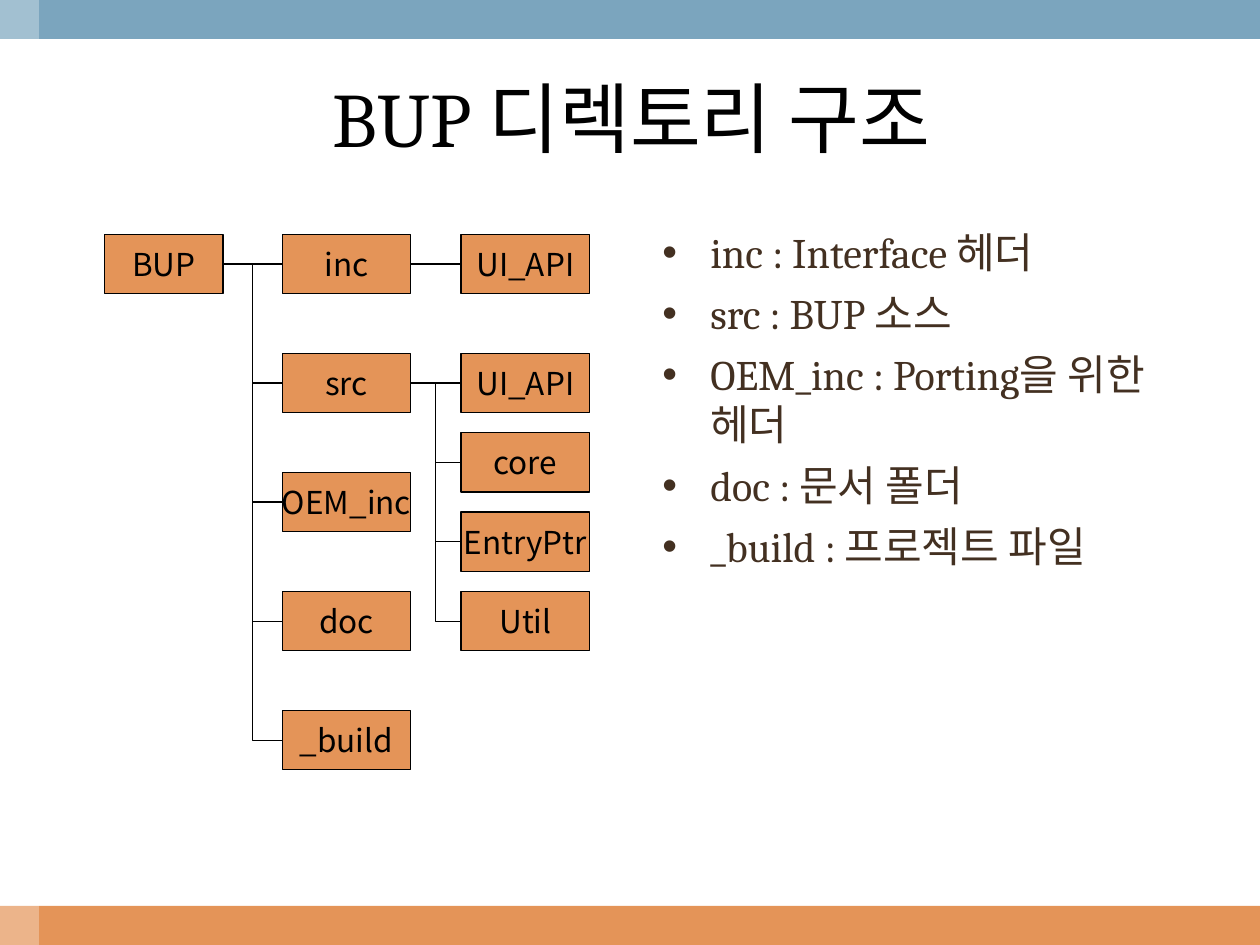
from lxml import etree
from pptx import Presentation
from pptx.dml.color import RGBColor
from pptx.enum.shapes import MSO_CONNECTOR, MSO_SHAPE
from pptx.enum.text import MSO_ANCHOR, PP_ALIGN
from pptx.oxml.ns import qn
from pptx.util import Inches, Pt

RECTANGLE = MSO_SHAPE.RECTANGLE
ELBOW = MSO_CONNECTOR.ELBOW
MIDDLE = MSO_ANCHOR.MIDDLE
CENTER = PP_ALIGN.CENTER
LEFT_SIDE, RIGHT_SIDE = 1, 3

COLORS = {"orange": "E49458", "blue": "7BA5BE", "white": "FFFFFF",
          "black": "000000", "brown": "433021"}
SERIF, SANS = "Cambria", "Noto Sans CJK KR"

PAGE_WIDTH, PAGE_HEIGHT, BAND = 10, 7.5, 0.31
NODE_HEIGHT, ROW_STEP, FILE_STEP = 0.47, 0.945, 0.63
ROOT_WIDTH, NODE_WIDTH = 0.94, 1.02
FOLDER_LEFT, FILE_LEFT = 1.41, 2.83

TREE = [("inc", ["UI_API"]),
        ("src", ["UI_API", "core", "EntryPtr", "Util"]),
        ("OEM_inc", []), ("doc", []), ("_build", [])]
NOTES = ["inc : Interface 헤더", "src : BUP 소스", "OEM_inc : Porting을 위한 헤더",
         "doc : 문서 폴더", "_build : 프로젝트 파일"]


def color(name):
    """Return the named colour."""
    return RGBColor.from_string(COLORS[name])


def add_span(para, text, size, font, ink):
    """Add one formatted run to a paragraph."""
    span = para.add_run()
    span.text = text
    span.font.size = Pt(size)
    span.font.name = font
    span.font.color.rgb = color(ink)


def add_rectangle(page, box, fill):
    """Add a flat rectangle without an outline."""
    shape = page.shapes.add_shape(RECTANGLE, *map(Inches, box))
    shape.shadow.inherit = False
    shape.fill.solid()
    shape.fill.fore_color.rgb = color(fill)
    shape.line.fill.background()
    return shape


def add_bands(page, width, height):
    """Add the coloured edge bands and the translucent left strip."""
    add_rectangle(page, (0, height - BAND, width, BAND), "orange")
    add_rectangle(page, (0, 0, width, BAND), "blue")
    strip = add_rectangle(page, (0, 0, BAND, height), "white")
    tint = strip.fill._xPr.find(qn("a:solidFill"))[0]
    etree.SubElement(tint, qn("a:alpha"), val="30000")


def add_title(page, box, text):
    """Add the centred slide title."""
    frame = page.shapes.add_textbox(*map(Inches, box)).text_frame
    frame.word_wrap = True
    frame.vertical_anchor = MIDDLE
    para = frame.paragraphs[0]
    para.alignment = CENTER
    add_span(para, text, 44, SERIF, "black")


def add_notes(page, box, lines):
    """Add the bulleted folder descriptions."""
    frame = page.shapes.add_textbox(*map(Inches, box)).text_frame
    frame.word_wrap = True
    for index, line in enumerate(lines):
        para = frame.add_paragraph() if index else frame.paragraphs[0]
        para.space_before = Pt(6)
        properties = para._p.get_or_add_pPr()
        properties.set("marL", str(Inches(0.38)))
        properties.set("indent", str(-Inches(0.38)))
        bullet_color = etree.SubElement(properties, qn("a:buClr"))
        etree.SubElement(bullet_color, qn("a:srgbClr"), val=COLORS["brown"])
        etree.SubElement(properties, qn("a:buFont"), typeface="Arial")
        etree.SubElement(properties, qn("a:buChar"), char="•")
        add_span(para, line, 24, SERIF, "brown")


def add_node(page, left, top, width, text):
    """Add one labelled box of the directory tree."""
    node = add_rectangle(page, (left, top, width, NODE_HEIGHT), "orange")
    node.line.color.rgb = color("black")
    node.line.width = Pt(0.75)
    frame = node.text_frame
    frame.word_wrap = False
    frame.vertical_anchor = MIDDLE
    para = frame.paragraphs[0]
    para.alignment = CENTER
    add_span(para, text, 18, SANS, "black")
    return node


def add_branch(page, parent, child):
    """Join a parent node to its child with an elbow line."""
    branch = page.shapes.add_connector(ELBOW, 0, 0, 0, 0)
    branch.begin_connect(parent, RIGHT_SIDE)
    branch.end_connect(child, LEFT_SIDE)
    branch.line.color.rgb = color("black")
    branch.line.width = Pt(0.75)
    etree.SubElement(branch._element.spPr, qn("a:effectLst"))


def add_tree(page, left, top, root_name, folders):
    """Add the directory tree from its top left corner."""
    root = add_node(page, left, top, ROOT_WIDTH, root_name)
    for row, (name, files) in enumerate(folders):
        folder_top = top + row * ROW_STEP
        folder = add_node(page, left + FOLDER_LEFT, folder_top, NODE_WIDTH, name)
        add_branch(page, root, folder)
        for index, file_name in enumerate(files):
            file_top = folder_top + index * FILE_STEP
            node = add_node(page, left + FILE_LEFT, file_top, NODE_WIDTH, file_name)
            add_branch(page, folder, node)


def main():
    """Build and save the deck."""
    deck = Presentation()
    deck.slide_width = Inches(PAGE_WIDTH)
    deck.slide_height = Inches(PAGE_HEIGHT)
    page = deck.slides.add_slide(deck.slide_layouts[6])
    add_bands(page, PAGE_WIDTH, PAGE_HEIGHT)
    add_title(page, (0.34, 0.3, 9.35, 1.25), "BUP 디렉토리 구조")
    add_notes(page, (5.16, 1.75, 4.34, 4.95), NOTES)
    add_tree(page, 0.83, 1.86, "BUP", TREE)
    deck.save("out.pptx")


if __name__ == "__main__":
    main()
